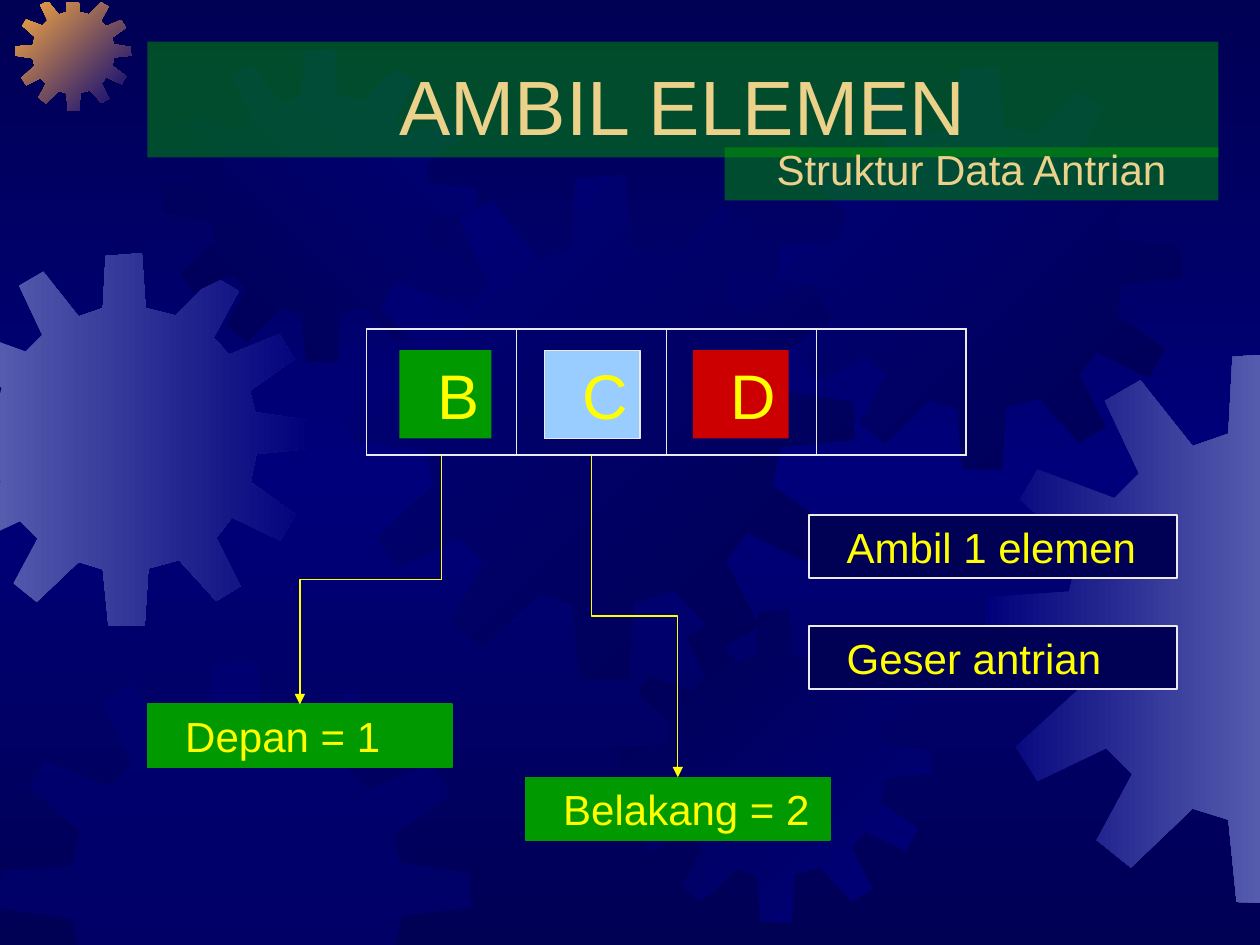
from copy import deepcopy
from dataclasses import dataclass

from pptx import Presentation
from pptx.dml.color import RGBColor
from pptx.enum.shapes import MSO_CONNECTOR as Link, MSO_SHAPE as Shape
from pptx.enum.text import MSO_ANCHOR as Anchor, MSO_AUTO_SIZE as AutoSize, PP_ALIGN as Align
from pptx.oxml.ns import qn
from pptx.util import Emu, Pt
from lxml.etree import SubElement

SCALE = 9144
PAGE_BOX = (0, 2, 1000, 750)
GEAR_SIZE = 401
GEAR = [
    (255, 67), (223, 59), (219, 0), (180, 3), (177, 59), (151, 68), (113, 20), (87, 35),
    (112, 88), (94, 106), (38, 85), (25, 107), (68, 145), (61, 174), (1, 178), (0, 210),
    (61, 219), (67, 246), (22, 287), (38, 312), (88, 288), (107, 307), (81, 355), (106, 375),
    (151, 332), (177, 340), (183, 400), (222, 401), (226, 339), (259, 330), (299, 374), (325, 358),
    (299, 306), (316, 284), (368, 309), (384, 281), (336, 246), (342, 216), (401, 210), (400, 180),
    (341, 171), (335, 148), (383, 114), (367, 87), (313, 109), (296, 91), (323, 41), (297, 25),
]


@dataclass(frozen=True)
class Theme:
    font: str = "Arial"
    dark: str = "000054"
    navy: str = "00007A"
    steel: str = "555BAD"
    orange: str = "FCAB40"
    green: str = "009900"
    sky: str = "99CCFF"
    red: str = "CC0000"
    sand: str = "EBD189"
    yellow: str = "FFFF00"
    pale: str = "EAEAEA"
    title_size: int = 44
    tile_size: int = 36
    label_size: int = 24


THEME = Theme()


def px(value):
    return Emu(round(value * SCALE))


def rgb(colour):
    return RGBColor.from_string(colour)


def paint_solid(fill, colour, opacity=100):
    fill.solid()
    fill.fore_color.rgb = rgb(colour)
    if opacity < 100:
        element = fill._xPr.find(qn("a:solidFill"))[0]
        SubElement(element, qn("a:alpha"), val=str(opacity * 1000))


def paint_gradient(fill, colours, angle):
    fill.gradient()
    fill.gradient_angle = -angle % 360
    stop_list = fill.gradient_stops[0]._gs.getparent()
    while len(stop_list) < len(colours):
        stop_list.append(deepcopy(stop_list[0]))
    for index, (stop, colour) in enumerate(zip(fill.gradient_stops, colours)):
        stop.color.rgb = rgb(colour)
        stop.position = index / (len(colours) - 1)


def clip(points, axis, limit, sign):
    kept = []
    for start, end in zip(points[-1:] + points[:-1], points):
        start_in, end_in = (sign * (point[axis] - limit) >= 0 for point in (start, end))
        if start_in != end_in:
            share = (limit - start[axis]) / (end[axis] - start[axis])
            kept.append(tuple(a + share * (b - a) for a, b in zip(start, end)))
        if end_in:
            kept.append(end)
    return kept


def add_gear(page, left, top, size, colours, angle=0, opacity=100):
    ratio = size / GEAR_SIZE
    points = [(left + x * ratio, top + y * ratio) for x, y in GEAR]
    for index, limit in enumerate(PAGE_BOX):
        points = clip(points, index % 2, limit, 1 if index < 2 else -1)
    outline = [(px(x), px(y)) for x, y in points]
    builder = page.shapes.build_freeform(*outline[0])
    builder.add_line_segments(outline[1:], close=True)
    gear = builder.convert_to_shape()
    gear.shadow.inherit = False
    gear.line.fill.background()
    if len(colours) > 1:
        paint_gradient(gear.fill, colours, angle)
    else:
        paint_solid(gear.fill, colours[0], opacity)


def add_backdrop(page):
    dark, navy, steel = THEME.dark, THEME.navy, THEME.steel
    paint_gradient(page.background.fill, (dark, navy, dark), 90)
    add_gear(page, -49, 201, 296, (steel, navy))
    add_gear(page, 12, -4, 92, (THEME.orange, navy), 45)
    add_gear(page, 130, 39, 248, (dark, navy), 315)
    add_gear(page, 277, 139, 401, (navy, dark), 45)
    add_gear(page, 0, 525, 374, (navy,), opacity=50)
    add_gear(page, 491, 484, 248, (dark, navy), 45)
    add_gear(page, 618, 53, 320, (navy, dark), 45)
    add_gear(page, 782, 280, 437, (navy, steel))


def write(box, text, size, colour, align=Align.LEFT, anchor=Anchor.MIDDLE, inset=10, wrap=True):
    frame = box.text_frame
    frame.auto_size = AutoSize.NONE
    frame.word_wrap = wrap
    frame.vertical_anchor = anchor
    frame.margin_left, frame.margin_right = px(inset), px(10)
    frame.margin_top = frame.margin_bottom = px(5)
    para = frame.paragraphs[0]
    para.alignment = align
    span = para.add_run()
    span.text = text
    span.font.name = THEME.font
    span.font.size = Pt(size)
    span.font.color.rgb = rgb(colour)


def add_box(page, left, top, width, height, fill, line=None, weight=1, opacity=100):
    box = page.shapes.add_shape(Shape.RECTANGLE, px(left), px(top), px(width), px(height))
    box.shadow.inherit = False
    paint_solid(box.fill, fill, opacity)
    if line:
        box.line.color.rgb = rgb(line)
        box.line.width = Pt(weight)
    else:
        box.line.fill.background()
    return box


def add_heading(page, left, top, width):
    title = page.shapes.title
    page.shapes._spTree.append(title._element)
    title.left, title.top, title.width, title.height = px(left), px(top), px(width), px(92)
    paint_solid(title.fill, THEME.green, 50)
    write(title, "AMBIL ELEMEN", THEME.title_size, THEME.sand, Align.CENTER, Anchor.BOTTOM)
    subtitle = add_box(page, left + width - 392, top + 84, 392, 42, THEME.green, opacity=50)
    write(subtitle, "Struktur Data Antrian", THEME.label_size, THEME.sand, Align.CENTER, Anchor.BOTTOM)


def add_border(cell, side, weight):
    line = SubElement(cell._tc.get_or_add_tcPr(), qn(f"a:ln{side}"), w=str(Pt(weight)))
    SubElement(SubElement(line, qn("a:solidFill")), qn("a:srgbClr"), val=THEME.pale)


def add_queue(page, left, top, cell_width, height):
    tiles = [
        ("B", 26, 73, THEME.green, None),
        ("C", 22, 76, THEME.sky, THEME.pale),
        ("D", 21, 76, THEME.red, None),
    ]
    for index, (letter, offset, width, fill, line) in enumerate(tiles):
        tile = add_box(page, left + index * cell_width + offset, top + 17, width, 70, fill, line, 0.75)
        write(tile, letter, THEME.tile_size, THEME.yellow, Align.CENTER, inset=30, wrap=False)
    table = page.shapes.add_table(1, 4, px(left), px(top), px(4 * cell_width), px(height)).table
    table.first_row = table.horz_banding = False
    for index in range(4):
        cell = table.cell(0, index)
        add_border(cell, "L", 1.08 if index == 0 else 0.45)
        add_border(cell, "R", 1.08 if index == 3 else 0.45)
        add_border(cell, "T", 1.08)
        add_border(cell, "B", 1.08)
        cell.fill.background()
    return [(left + (index + 0.5) * cell_width, top + height) for index in range(4)]


def add_label(page, text, left, top, width, fill, line):
    label = add_box(page, left, top, width, 50, fill, line)
    write(label, text, THEME.label_size, THEME.yellow, inset=30)
    return label


def add_pointer(page, start, label):
    start_x, start_y = map(px, start)
    end_x, end_y = label.left + label.width // 2, label.top
    pointer = page.shapes.add_connector(Link.ELBOW, start_x, start_y, end_x, end_y)
    pointer.end_connect(label, 0)
    width, height = end_y - start_y, abs(end_x - start_x)
    pointer.left = Emu((start_x + end_x - width) // 2)
    pointer.top = Emu((start_y + end_y - height) // 2)
    pointer.width, pointer.height = Emu(width), Emu(height)
    rightward = end_x > start_x
    frame = pointer._element.spPr.xfrm
    frame.rot = 270 if rightward else 90
    frame.flipH, frame.flipV = rightward, False
    pointer.line.color.rgb = rgb(THEME.yellow)
    pointer.line.width = Pt(0.75)
    SubElement(pointer.line._get_or_add_ln(), qn("a:tailEnd"), type="triangle")
    SubElement(pointer._element.spPr, qn("a:effectLst"))


def main():
    deck = Presentation()
    deck.slide_width, deck.slide_height = px(1000), px(750)
    page = deck.slides.add_slide(deck.slide_layouts[5])
    add_backdrop(page)
    add_heading(page, 117, 33, 850)
    sources = add_queue(page, 291, 261, 119, 100)
    for text, top in (("Ambil 1 elemen", 409), ("Geser antrian", 497)):
        add_label(page, text, 642, top, 292, THEME.dark, THEME.pale)
    markers = (("Depan = 1", 117, 559), ("Belakang = 2", 417, 617))
    for source, (text, left, top) in zip(sources, markers):
        label = add_label(page, text, left, top, 242, THEME.green, THEME.green)
        add_pointer(page, source, label)
    deck.save("out.pptx")


if __name__ == "__main__":
    main()
